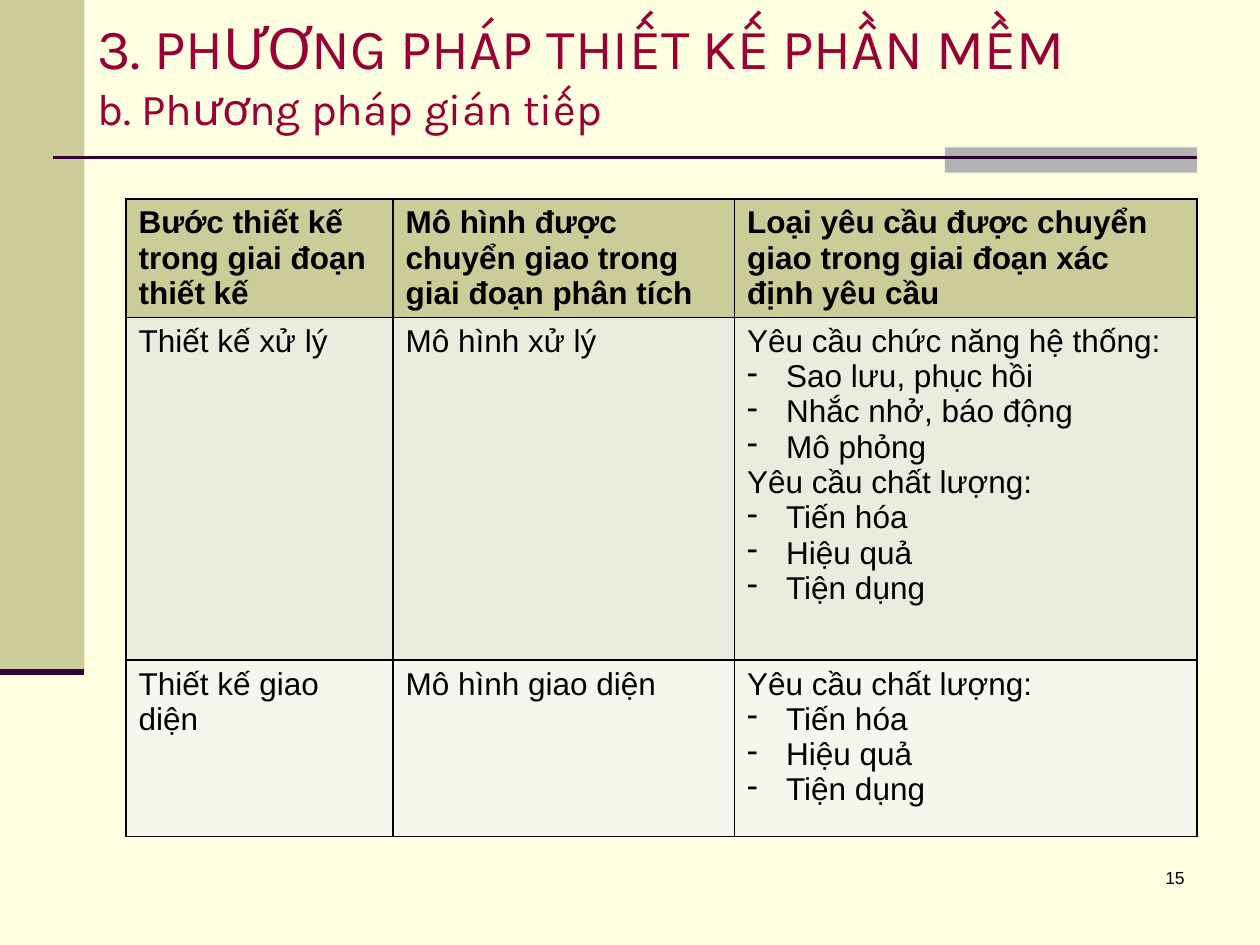
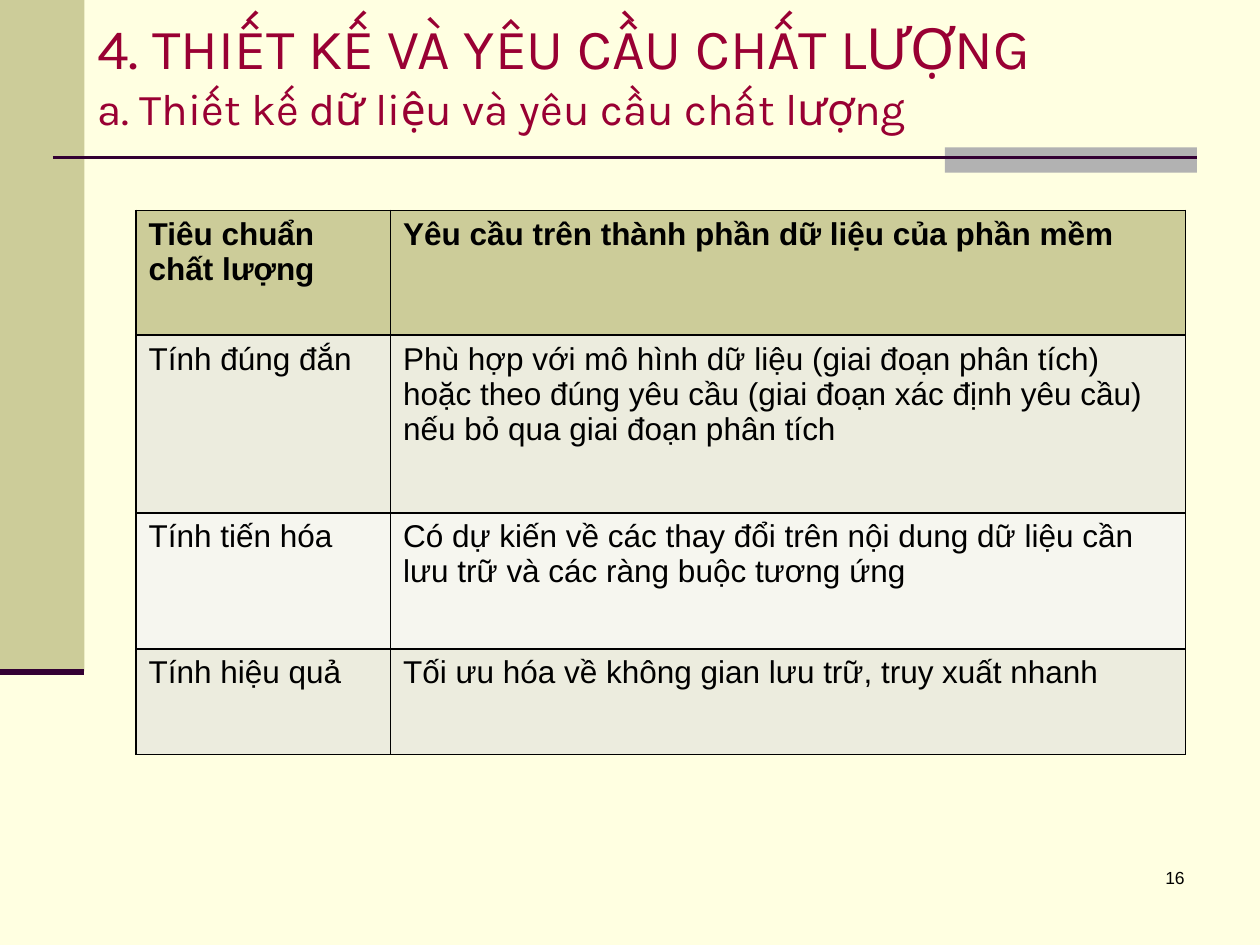
import itertools
from dataclasses import dataclass

import lxml.etree
import pptx
import pptx.dml.color
import pptx.enum.shapes
import pptx.enum.text
import pptx.oxml.ns
import pptx.util

Inches = pptx.util.Inches
Pt = pptx.util.Pt

# Content: a list in a cell is several paragraphs, "- " marks a bullet.
QUALITY_NEEDS = ["Yêu cầu chất lượng:", "- Tiến hóa", "- Hiệu quả", "- Tiện dụng"]
SLIDES = [
    {
        "heading": "3. PHƯƠNG PHÁP THIẾT KẾ PHẦN MỀM",
        "subheading": "b. Phương pháp gián tiếp",
        "number": "15",
        "table_at": (1, 1.58),
        "columns": (2.12, 2.71, 3.67),
        "rows": (0.94, 2.72, 1.4),
        "spacing": 0,
        "cells": [
            ["Bước thiết kế trong giai đoạn thiết kế",
             "Mô hình được chuyển giao trong giai đoạn phân tích",
             "Loại yêu cầu được chuyển giao trong giai đoạn xác định yêu cầu"],
            ["Thiết kế xử lý", "Mô hình xử lý",
             ["Yêu cầu chức năng hệ thống:", "- Sao lưu, phục hồi",
              "- Nhắc nhở, báo động", "- Mô phỏng"] + QUALITY_NEEDS],
            ["Thiết kế giao diện", "Mô hình giao diện", QUALITY_NEEDS],
        ],
    },
    {
        "heading": "4. THIẾT KẾ VÀ YÊU CẦU CHẤT LƯỢNG",
        "subheading": "a. Thiết kế dữ liệu và yêu cầu chất lượng",
        "number": "16",
        "table_at": (1.08, 1.67),
        "columns": (2.02, 6.31),
        "rows": (0.99, 1.41, 1.08, 0.84),
        "spacing": 6,
        "cells": [
            ["Tiêu chuẩn chất lượng", "Yêu cầu trên thành phần dữ liệu của phần mềm"],
            ["Tính đúng đắn",
             "Phù hợp với mô hình dữ liệu (giai đoạn phân tích) hoặc theo đúng yêu cầu "
             "(giai đoạn xác định yêu cầu) nếu bỏ qua giai đoạn phân tích"],
            ["Tính tiến hóa",
             "Có dự kiến về các thay đổi trên nội dung dữ liệu cần lưu trữ "
             "và các ràng buộc tương ứng"],
            ["Tính hiệu quả", "Tối ưu hóa về không gian lưu trữ, truy xuất nhanh"],
        ],
    },
]


@dataclass(frozen=True)
class Theme:
    """Colours, fonts and type sizes of the deck."""
    background: str = "FFFFE1"
    band: str = "CCCC99"
    accent: str = "B2B2B2"
    rule: str = "330033"
    title: str = "990033"
    text: str = "000000"
    stripes: tuple = ("ECECDE", "F6F6EF")
    title_font: str = "Karla"
    body_font: str = "Arial"
    heading_size: float = 32.4
    subheading_size: float = 25.2
    table_size: float = 18
    number_size: float = 10


THEME = Theme()


def paint(fill, colour):
    """Give a fill one solid colour."""
    fill.solid()
    fill.fore_color.rgb = pptx.dml.color.RGBColor.from_string(colour)


def style(font, name, size, colour, bold=False):
    """Set the face, size, colour and weight of a font."""
    font.name, font.size, font.bold = name, Pt(size), bold
    font.color.rgb = pptx.dml.color.RGBColor.from_string(colour)


def add_block(shapes, box, colour):
    """Draw a plain rectangle without outline."""
    block = shapes.add_shape(pptx.enum.shapes.MSO_SHAPE.RECTANGLE, *map(Inches, box))
    block.shadow.inherit = False
    paint(block.fill, colour)
    block.line.fill.background()


def add_rule(shapes, ends, width):
    """Draw a straight rule without shadow."""
    rule = shapes.add_connector(pptx.enum.shapes.MSO_CONNECTOR.STRAIGHT, *map(Inches, ends))
    paint(rule.line.fill, THEME.rule)
    rule.line.width = Pt(width)
    lxml.etree.SubElement(rule.element.spPr, pptx.oxml.ns.qn("a:effectLst"))


def add_frame(shapes):
    """Draw the side band, the title rule and its accent."""
    add_block(shapes, (0, 0, 0.67, 5.33), THEME.band)
    add_block(shapes, (7.5, 1.17, 2, 0.2), THEME.accent)
    add_rule(shapes, (0.42, 1.25, 9.5, 1.25), 1.5)
    add_rule(shapes, (0, 5.33, 0.67, 5.33), 3.5)


def write_title(title, heading, subheading):
    """Place the title and write its two lines."""
    title.left, title.top, title.width, title.height = map(Inches, (0.67, 0, 8.83, 1.17))
    frame = title.text_frame
    frame.auto_size = pptx.enum.text.MSO_AUTO_SIZE.NONE
    frame.vertical_anchor = pptx.enum.text.MSO_ANCHOR.MIDDLE
    paragraph = frame.paragraphs[0]
    paragraph.alignment = pptx.enum.text.PP_ALIGN.LEFT
    style(paragraph.font, THEME.title_font, THEME.heading_size, THEME.title)
    paragraph.add_run().text = heading
    paragraph.add_line_break()
    second_line = paragraph.add_run()
    second_line.text = subheading
    second_line.font.size = Pt(THEME.subheading_size)


def add_borders(cell):
    """Rule all four sides of a cell."""
    properties = cell._tc.get_or_add_tcPr()
    for side in ("lnL", "lnR", "lnT", "lnB"):
        border = lxml.etree.SubElement(properties, pptx.oxml.ns.qn("a:" + side), w=str(Pt(1)))
        solid = lxml.etree.SubElement(border, pptx.oxml.ns.qn("a:solidFill"))
        lxml.etree.SubElement(solid, pptx.oxml.ns.qn("a:srgbClr"), val=THEME.text)


def add_dash(paragraph):
    """Turn a paragraph into a dashed item with a hanging indent."""
    properties = paragraph._p.get_or_add_pPr()
    properties.set("marL", str(Inches(0.31)))
    properties.set("indent", str(-Inches(0.31)))
    lxml.etree.SubElement(properties, pptx.oxml.ns.qn("a:buChar"), char="-")


def write_cell(cell, content, spacing, bold):
    """Write the paragraphs of one cell."""
    lines = [content] if isinstance(content, str) else content
    for index, line in enumerate(lines):
        frame = cell.text_frame
        paragraph = frame.add_paragraph() if index else frame.paragraphs[0]
        paragraph.text = line.removeprefix("- ")
        if spacing:
            paragraph.space_before = paragraph.space_after = Pt(spacing)
        if line.startswith("- "):
            add_dash(paragraph)
        style(paragraph.font, THEME.body_font, THEME.table_size, THEME.text, bold)


def add_grid(shapes, content):
    """Build the table: a header row over striped rows."""
    columns, rows = content["columns"], content["rows"]
    box = (*content["table_at"], sum(columns), sum(rows))
    table = shapes.add_table(len(rows), len(columns), *map(Inches, box)).table
    for column, width in zip(table.columns, columns):
        column.width = Inches(width)
    fills = itertools.chain([THEME.band], itertools.cycle(THEME.stripes))
    for index, (row, height, texts, fill) in enumerate(
            zip(table.rows, rows, content["cells"], fills)):
        row.height = Inches(height)
        for cell, text in zip(row.cells, texts):
            add_borders(cell)
            paint(cell.fill, fill)
            write_cell(cell, text, content["spacing"], bold=index == 0)


def add_number(shapes, number):
    """Write the slide number at the lower right."""
    frame = shapes.add_textbox(*map(Inches, (7.42, 6.83, 2.08, 0.5))).text_frame
    frame.word_wrap = True
    paragraph = frame.paragraphs[0]
    paragraph.text = number
    paragraph.alignment = pptx.enum.text.PP_ALIGN.RIGHT
    style(paragraph.font, THEME.body_font, THEME.number_size, THEME.text)


def build_slide(deck, content):
    """Add one slide, from back to front."""
    slide = deck.slides.add_slide(deck.slide_layouts.get_by_name("Title Only"))
    title = slide.shapes.title
    add_frame(slide.shapes)
    slide.shapes.element.append(title.element)  # the title lies over the frame
    write_title(title, content["heading"], content["subheading"])
    add_grid(slide.shapes, content)
    add_number(slide.shapes, content["number"])


def main():
    """Build and save the deck."""
    deck = pptx.Presentation()
    deck.slide_width, deck.slide_height = Inches(10), Inches(7.5)
    paint(deck.slide_master.background.fill, THEME.background)
    for content in SLIDES:
        build_slide(deck, content)
    deck.save("out.pptx")


main()
